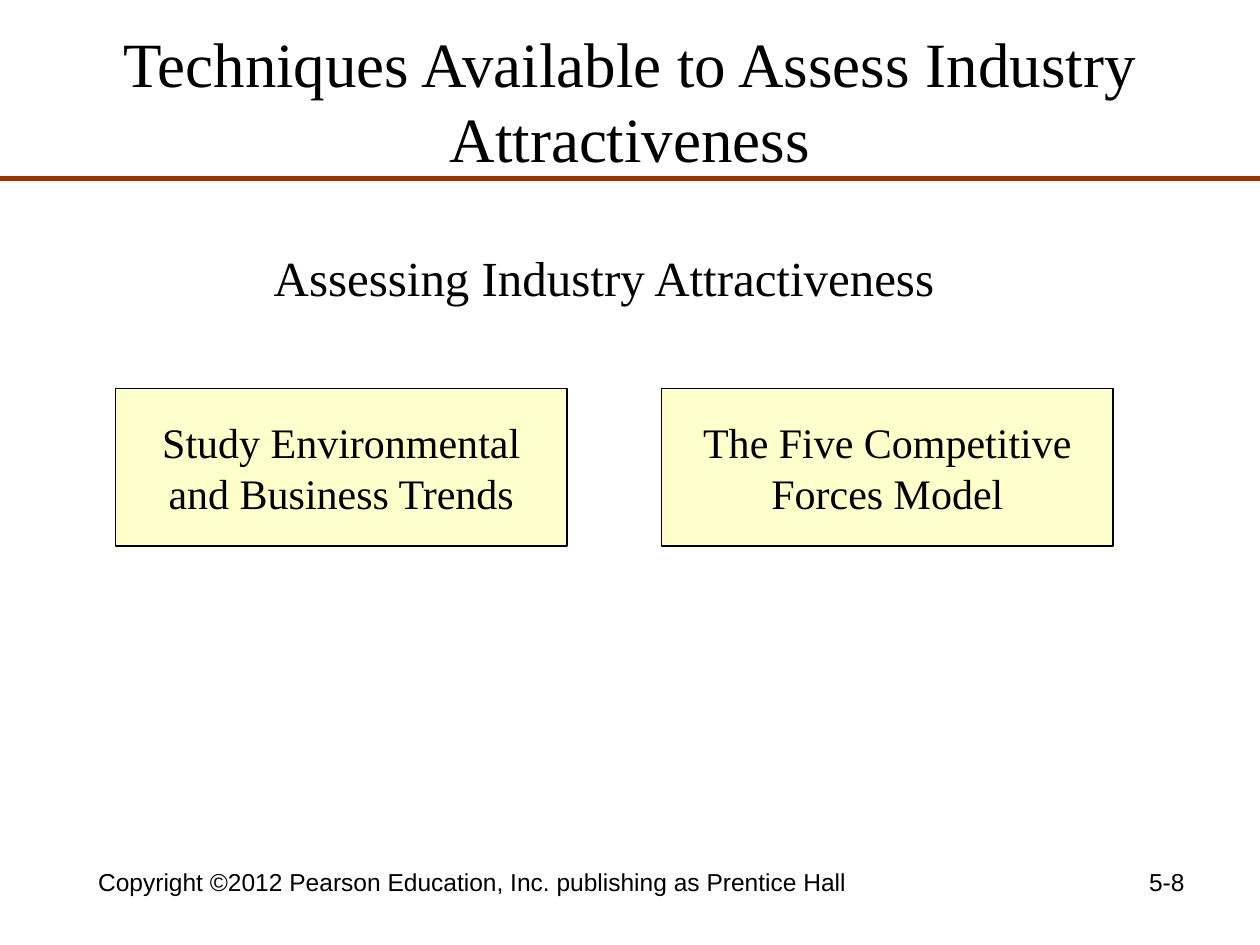
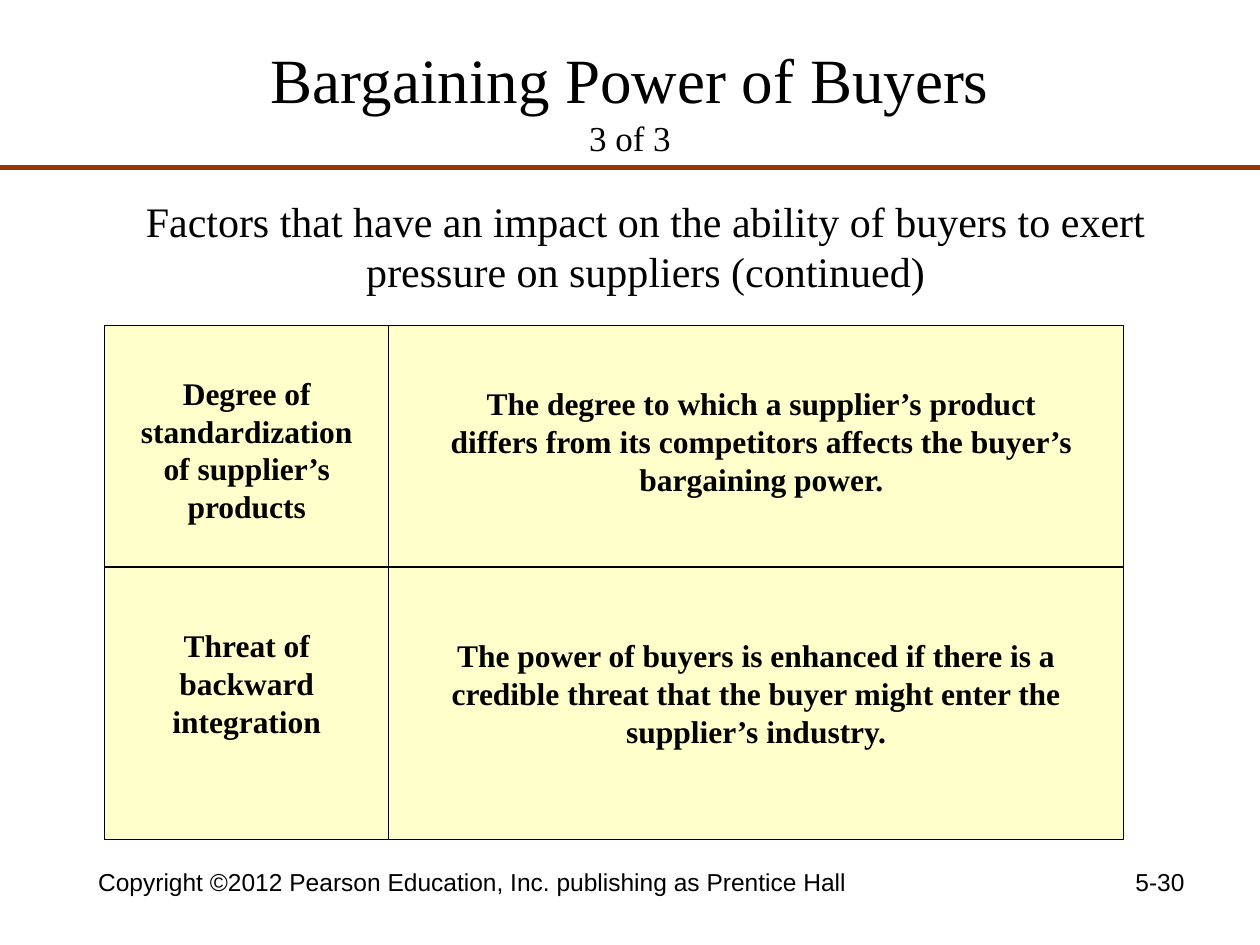
import pptx
import pptx.dml.color
import pptx.enum.shapes
import pptx.enum.text
import pptx.oxml.ns
import pptx.util

Cm = pptx.util.Cm
Pt = pptx.util.Pt
Align = pptx.enum.text.PP_ALIGN
Anchor = pptx.enum.text.MSO_ANCHOR

# Shared look
BLACK = pptx.dml.color.RGBColor(0x00, 0x00, 0x00)
CREAM = pptx.dml.color.RGBColor(0xFF, 0xFF, 0xCC)
RUST = pptx.dml.color.RGBColor(0x99, 0x33, 0x00)
SERIF = "Times New Roman"
SANS = "Arial"
CREDIT = "Copyright ©2012 Pearson Education, Inc. publishing as Prentice Hall"
WIDE, HIGH = 25.4, 19.05

TITLE = {"name": SERIF, "size": Pt(36), "bold": False}
PAGE = {"name": SERIF, "size": Pt(20), "bold": False}
HEAD = {"name": SERIF, "size": Pt(28)}
TEXT = {"name": SERIF, "size": Pt(24)}
CELL = {"name": SERIF, "size": Pt(18), "bold": True}
FOOT = {"name": SANS, "size": Pt(14)}


def style(font, look):
    for key, value in look.items():
        setattr(font, key, value)
    font.color.rgb = BLACK


def write(frame, lines, look, align=Align.CENTER):
    """Fill a text frame with one paragraph per line."""
    frame.text = "\n".join(lines)
    for para in frame.paragraphs:
        para.alignment = align
        for run in para.runs:
            style(run.font, look)


def add_text(slide, place, text, look, align=Align.CENTER):
    box = slide.shapes.add_textbox(*map(Cm, place))
    box.text_frame.word_wrap = True
    write(box.text_frame, [text], look, align)


def add_box(slide, place, lines=()):
    box = slide.shapes.add_shape(
        pptx.enum.shapes.MSO_SHAPE.RECTANGLE, *map(Cm, place))
    box.shadow.inherit = False
    box.fill.solid()
    box.fill.fore_color.rgb = CREAM
    box.line.color.rgb = BLACK
    box.line.width = Pt(0.75)
    if lines:
        box.text_frame.vertical_anchor = Anchor.MIDDLE
        box.text_frame.word_wrap = False
        write(box.text_frame, lines, TEXT)


def add_line(slide, ends, color=BLACK, width=0.75):
    line = slide.shapes.add_connector(
        pptx.enum.shapes.MSO_CONNECTOR.STRAIGHT, *map(Cm, ends))
    line.line.color.rgb = color
    line.line.width = Pt(width)
    props = line.element.spPr
    props.append(props.makeelement(pptx.oxml.ns.qn("a:effectLst"), {}))


def add_panel(slide, place, split, cells):
    """Draw a panel cut in four, with a text in each part."""
    left, top, width, height = place
    across, down = split
    add_box(slide, place)
    add_line(slide, (left, down, left + width, down))
    add_line(slide, (across, top, across, top + height))
    for spot, text in cells:
        add_text(slide, spot, text, CELL)


def add_slide(deck, parts, rule, number):
    """Add a slide with its title parts, rule and footer."""
    slide = deck.slides.add_slide(deck.slide_layouts[5])
    title = slide.shapes.title
    title.left, title.top, title.width, title.height = map(
        Cm, (1.27, 0.42, 22.86, 3.18))
    frame = title.text_frame
    frame.word_wrap = True
    frame.auto_size = pptx.enum.text.MSO_AUTO_SIZE.NONE
    frame.vertical_anchor = Anchor.MIDDLE
    para = frame.paragraphs[0]
    para.alignment = Align.CENTER
    for spot, (text, look) in enumerate(parts):
        if spot:
            para.add_line_break()
        run = para.add_run()
        run.text = text
        style(run.font, look)
    add_line(slide, (0, rule, WIDE, rule), RUST, 3)
    add_text(slide, (1.27, 17.36, 16.51, 1.31), CREDIT, FOOT)
    add_text(slide, (18.2, 17.36, 5.93, 1.31), number, FOOT, Align.RIGHT)
    return slide


def main():
    deck = pptx.Presentation()
    deck.slide_width, deck.slide_height = Cm(WIDE), Cm(HIGH)

    # Techniques
    slide = add_slide(
        deck, [("Techniques Available to Assess Industry", TITLE),
               ("Attractiveness", TITLE)], 3.6, "5-8")
    add_text(slide, (4.87, 4.87, 14.61, 1.44),
             "Assessing Industry Attractiveness", HEAD)
    boxes = [("Study Environmental", "and Business Trends"),
             ("The Five Competitive", "Forces Model")]
    for spot, lines in enumerate(boxes):
        add_box(slide, (2.33 + 11.01 * spot, 7.83, 9.1, 3.18), lines)

    # Power of buyers
    slide = add_slide(
        deck, [("Bargaining Power of Buyers", TITLE), ("3 of 3", PAGE)],
        3.38, "5-30")
    add_text(slide, (1.48, 3.81, 23.07, 2.29),
             "Factors that have an impact on the ability of buyers to exert "
             "pressure on suppliers (continued)", TEXT)
    cells = [
        ((2.33, 7.41, 5.29, 3.3),
         "Degree of standardization of supplier’s products"),
        ((8.68, 7.62, 13.34, 2.54),
         "The degree to which a supplier’s product differs from its "
         "competitors affects the buyer’s bargaining power."),
        ((2.33, 12.5, 5.29, 2.54), "Threat of backward integration"),
        ((8.05, 12.7, 14.39, 2.54),
         "The power of buyers is enhanced if there is a credible threat that "
         "the buyer might enter the supplier’s industry."),
    ]
    add_panel(slide, (2.11, 6.56, 20.54, 10.37), (7.83, 11.43), cells)

    deck.save("out.pptx")


if __name__ == "__main__":
    main()
